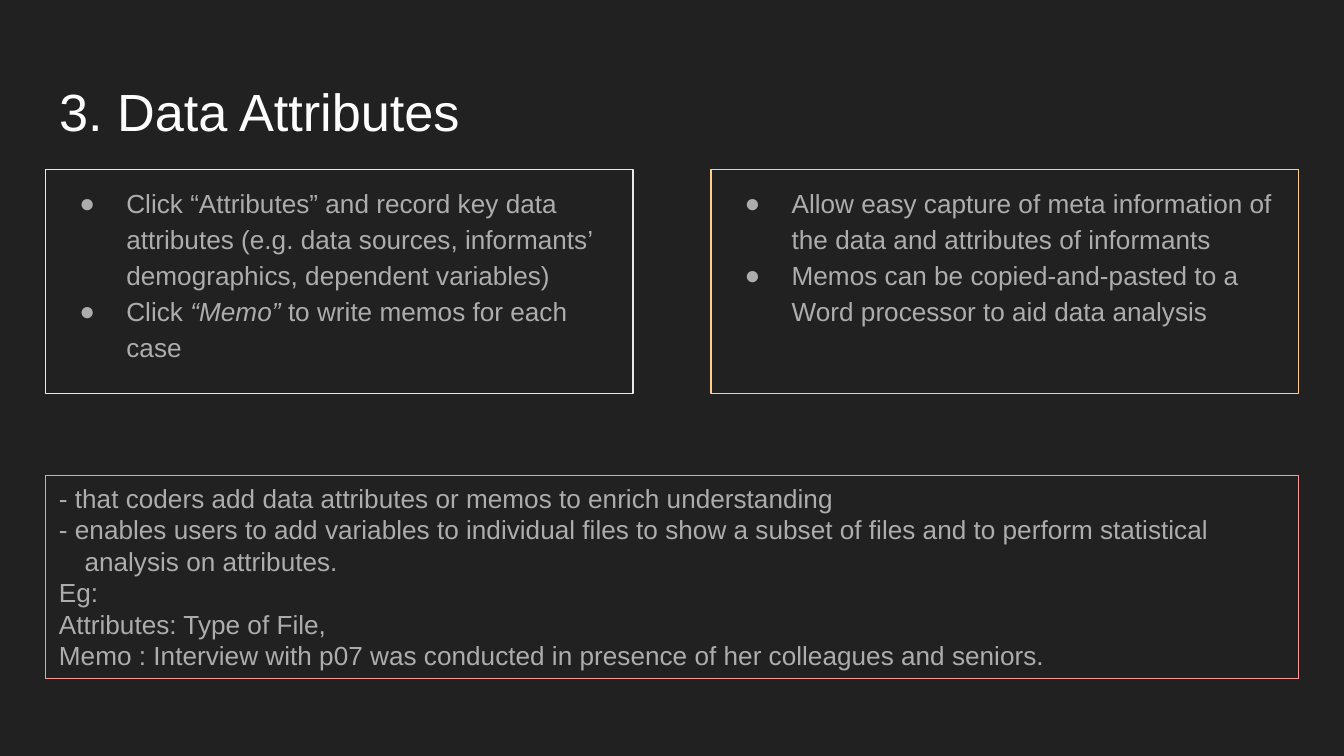
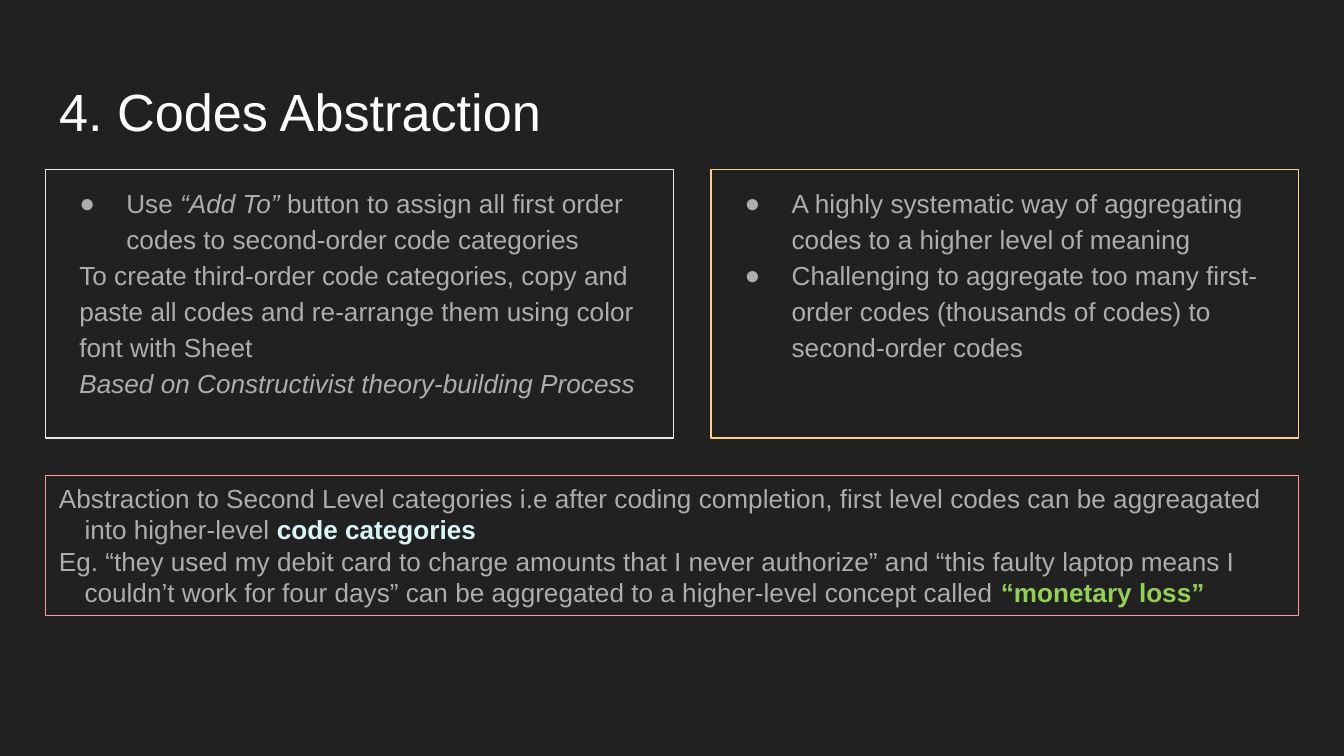
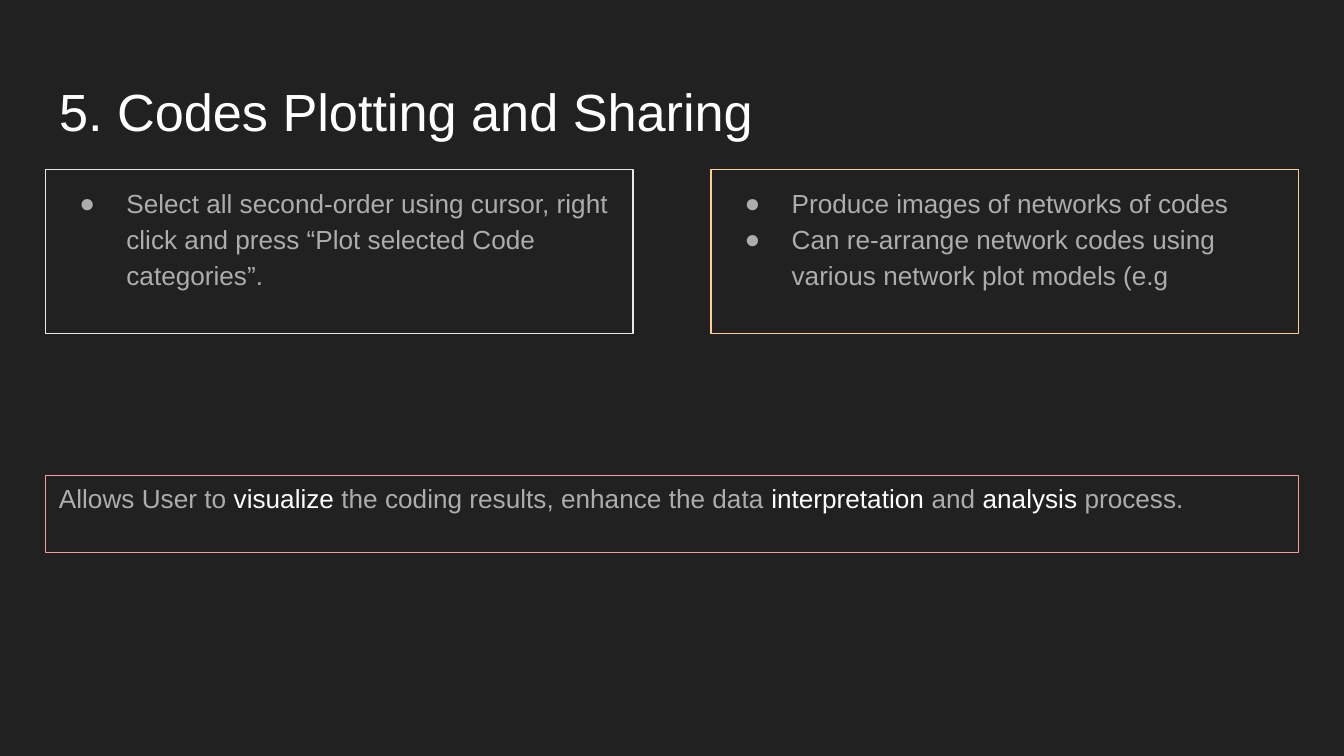
from dataclasses import dataclass
from typing import Optional, Union

import lxml.etree
import pptx
import pptx.dml.color
import pptx.enum.shapes
import pptx.enum.text
import pptx.oxml.ns
import pptx.util
from pptx.util import Inches

BACKGROUND = "212121"
WHITE = "FFFFFF"
GREY = "ADADAD"
STEPS_LINE = "E9E9E9"
REMARKS_LINE = "FFCD8C"
SUMMARY_LINE = "FF9999"
FONT = "Arial"

LEFT, FULL_WIDTH = 0.34, 9.32
TITLE_TOP, TITLE_HEIGHT = 0.49, 0.63
PANEL_TOP, PANEL_WIDTH = 1.26, 4.37
REMARKS_LEFT = LEFT + FULL_WIDTH - PANEL_WIDTH
SUMMARY_TOP = 3.54


@dataclass(frozen=True)
class Span:
    text: str
    color: Optional[str] = None
    bold: Optional[bool] = None
    italic: Optional[bool] = None


@dataclass(frozen=True)
class Style:
    size: float = 14
    color: str = GREY
    margin: float = 0
    indent: float = 0
    line_spacing: float = 1.0
    bullet: str = ""


@dataclass(frozen=True)
class Entry:
    spans: tuple[Union[str, Span], ...]
    style: Style


@dataclass(frozen=True)
class Topic:
    title: str
    steps: list[Entry]
    remarks: list[Entry]
    summary: list[Entry]
    panel_height: float
    summary_height: float
    steps_width: float = PANEL_WIDTH


TITLE = Style(size=28, color=WHITE)
BULLET = Style(margin=0.5, indent=-0.35, line_spacing=1.15, bullet="●")
PLAIN = Style(margin=0.15, line_spacing=1.15)
HANGING = Style(margin=0.19, indent=-0.19)


def bullet(*spans: Union[str, Span]) -> Entry:
    return Entry(spans, BULLET)


def plain(*spans: Union[str, Span]) -> Entry:
    return Entry(spans, PLAIN)


def hanging(*spans: Union[str, Span]) -> Entry:
    return Entry(spans, HANGING)


TOPICS = [
    Topic(
        title="3. Data Attributes",
        steps=[
            bullet("Click “Attributes” and record key data attributes (e.g. data sources, "
                   "informants’ demographics, dependent variables)"),
            bullet("Click ", Span("“Memo” ", italic=True), "to write memos for each case"),
        ],
        remarks=[
            bullet("Allow easy capture of meta information of the data and attributes of informants"),
            bullet("Memos can be copied-and-pasted to a Word processor to aid data analysis"),
        ],
        summary=[
            hanging("- that coders add data attributes or memos to enrich understanding"),
            hanging("- enables users to add variables to individual files to show a subset of "
                    "files and to perform statistical analysis on attributes."),
            hanging("Eg:"),
            hanging("Attributes: Type of File,"),
            hanging("Memo : Interview with p07 was conducted in presence of her colleagues and seniors."),
        ],
        panel_height=1.67,
        summary_height=1.51,
    ),
    Topic(
        title="4. Codes Abstraction",
        steps=[
            bullet("Use ", Span("“Add To” ", italic=True),
                   "button to assign all first order codes to second-order code categories"),
            plain("To create third-order code categories, copy and paste all codes and "
                  "re-arrange them using color font with Sheet"),
            plain(Span("Based on Constructivist theory-building Process", italic=True)),
        ],
        remarks=[
            bullet("A highly systematic way of aggregating codes to a higher level of meaning"),
            bullet("Challenging to aggregate too many first-order codes (thousands of codes) "
                   "to second-order codes"),
        ],
        summary=[
            hanging("Abstraction to Second Level categories i.e after coding completion, first "
                    "level codes can be aggreagated into higher-level ",
                    Span("code categories", color="DBF6F9", bold=True)),
            hanging("Eg. “they used my debit card to charge amounts that I never authorize” and "
                    "“this faulty laptop means I couldn’t work for four days” can be aggregated "
                    "to a higher-level concept called ",
                    Span("“monetary loss”", color="92D050", bold=True)),
        ],
        panel_height=2,
        summary_height=1.04,
        steps_width=4.67,
    ),
    Topic(
        title="5. Codes Plotting and Sharing",
        steps=[
            bullet("Select all second-order using cursor, right click and press "
                   "“Plot selected Code categories”."),
        ],
        remarks=[
            bullet("Produce images of networks of codes"),
            bullet("Can re-arrange network codes using various network plot models (e.g"),
        ],
        summary=[
            hanging("Allows User to ", Span("visualize", color=WHITE),
                    " the coding results, enhance the data ",
                    Span("interpretation", color=WHITE), " and ",
                    Span("analysis", color=WHITE), " process."),
        ],
        panel_height=1.22,
        summary_height=0.57,
    ),
]


def rgb(color: str) -> pptx.dml.color.RGBColor:
    return pptx.dml.color.RGBColor.from_string(color)


def set_bullet(paragraph, style: Style) -> None:
    """Apply the margins and the bullet, which python-pptx has no methods for."""
    properties = paragraph._p.get_or_add_pPr()
    properties.set("marL", str(Inches(style.margin)))
    properties.set("indent", str(Inches(style.indent)))
    qn = pptx.oxml.ns.qn
    if style.bullet:
        bullet_color = lxml.etree.SubElement(properties, qn("a:buClr"))
        lxml.etree.SubElement(bullet_color, qn("a:srgbClr"), val=style.color)
        lxml.etree.SubElement(properties, qn("a:buFont"), typeface=FONT)
        lxml.etree.SubElement(properties, qn("a:buChar"), char=style.bullet)
    else:
        lxml.etree.SubElement(properties, qn("a:buNone"))


def write_paragraph(paragraph, entry: Entry) -> None:
    style = entry.style
    paragraph.alignment = pptx.enum.text.PP_ALIGN.LEFT
    paragraph.line_spacing = style.line_spacing
    paragraph.space_before = paragraph.space_after = pptx.util.Pt(0)
    set_bullet(paragraph, style)
    paragraph.font.name = FONT
    paragraph.font.size = pptx.util.Pt(style.size)
    paragraph.font.color.rgb = rgb(style.color)
    for item in entry.spans:
        span = item if isinstance(item, Span) else Span(item)
        run = paragraph.add_run()
        run.text = span.text
        run.font.bold = span.bold
        run.font.italic = span.italic
        if span.color:
            run.font.color.rgb = rgb(span.color)


def write_entries(shape, entries: list[Entry], vertical_inset: float) -> None:
    frame = shape.text_frame
    frame.word_wrap = True
    frame.auto_size = pptx.enum.text.MSO_AUTO_SIZE.NONE
    frame.vertical_anchor = pptx.enum.text.MSO_ANCHOR.TOP
    frame.margin_left = frame.margin_right = Inches(0.1)
    frame.margin_top = frame.margin_bottom = Inches(vertical_inset)
    for index, entry in enumerate(entries):
        write_paragraph(frame.add_paragraph() if index else frame.paragraphs[0], entry)


def place(shape, left: float, top: float, width: float, height: float) -> None:
    shape.left, shape.top = Inches(left), Inches(top)
    shape.width, shape.height = Inches(width), Inches(height)


def outline(shape, color: str) -> None:
    shape.line.color.rgb = rgb(color)
    shape.line.width = pptx.util.Pt(0.75)


def add_topic(presentation, topic: Topic) -> None:
    slide = presentation.slides.add_slide(presentation.slide_layouts.get_by_name("Two Content"))
    slide.background.fill.solid()
    slide.background.fill.fore_color.rgb = rgb(BACKGROUND)

    title, steps, remarks = slide.placeholders
    place(title, LEFT, TITLE_TOP, FULL_WIDTH, TITLE_HEIGHT)
    write_entries(title, [Entry((topic.title,), TITLE)], 0.1)

    place(steps, LEFT, PANEL_TOP, topic.steps_width, topic.panel_height)
    outline(steps, STEPS_LINE)
    write_entries(steps, topic.steps, 0.1)

    place(remarks, REMARKS_LEFT, PANEL_TOP, PANEL_WIDTH, topic.panel_height)
    outline(remarks, REMARKS_LINE)
    write_entries(remarks, topic.remarks, 0.1)

    summary = slide.shapes.add_shape(
        pptx.enum.shapes.MSO_SHAPE.RECTANGLE, Inches(LEFT), Inches(SUMMARY_TOP),
        Inches(FULL_WIDTH), Inches(topic.summary_height))
    summary.shadow.inherit = False
    summary.fill.background()
    outline(summary, SUMMARY_LINE)
    write_entries(summary, topic.summary, 0.05)


def main() -> None:
    presentation = pptx.Presentation()
    presentation.slide_width = Inches(10)
    presentation.slide_height = presentation.slide_width * 9 // 16
    for topic in TOPICS:
        add_topic(presentation, topic)
    presentation.save("out.pptx")


if __name__ == "__main__":
    main()
